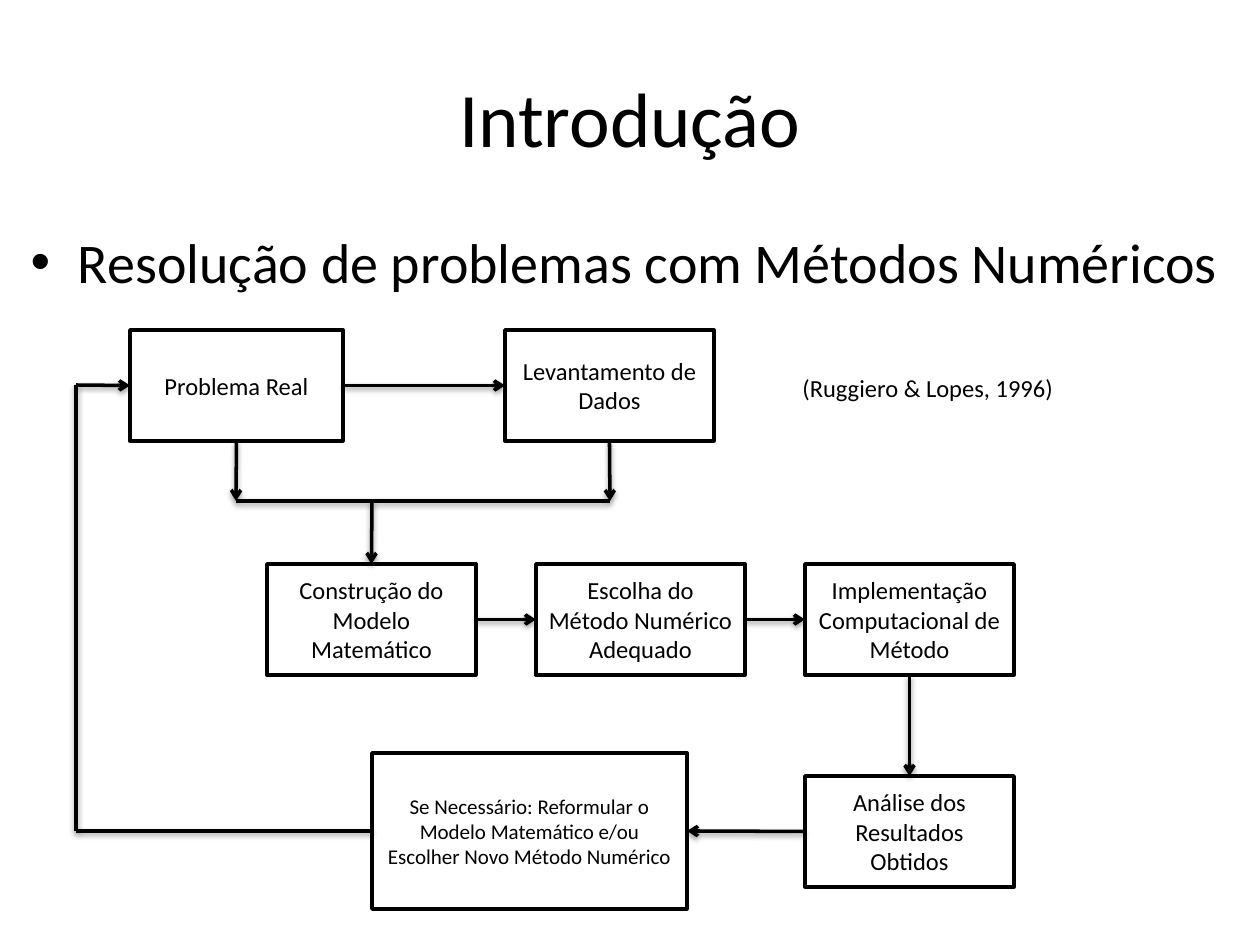
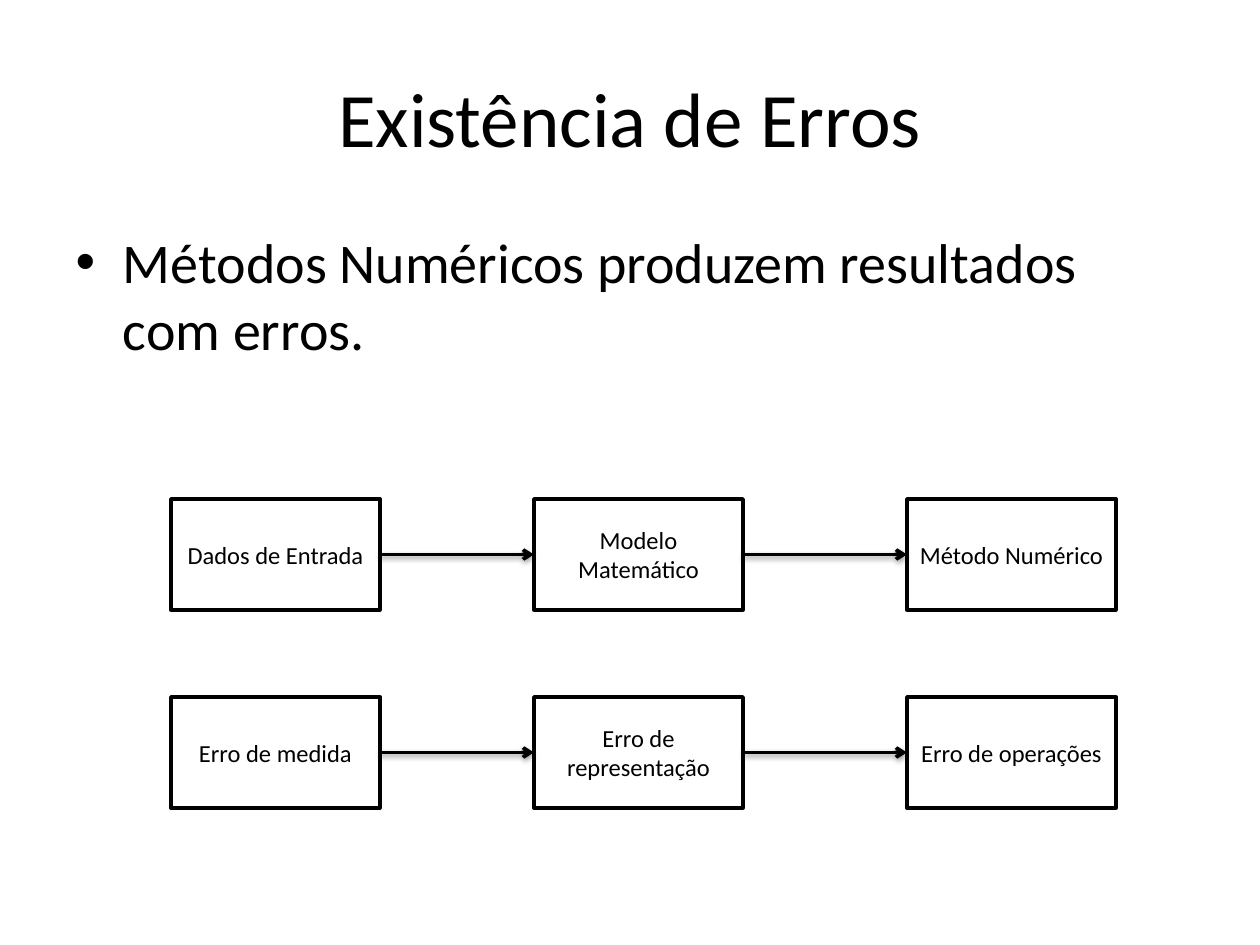
"""Builds two slides on numerical methods: the solving process and where errors arise."""
from lxml import etree
from pptx import Presentation
from pptx import util as u
from pptx.dml.color import RGBColor
from pptx.enum import shapes, text
from pptx.oxml import parse_xml
from pptx.oxml.ns import nsdecls, qn

FONT, INK, PAPER = "Calibri", "000000", "FFFFFF"
TITLE_SIZE, BODY_SIZE, BOX_SIZE, SMALL_SIZE = 44, 32, 14, 12
PX_PER_INCH = 126
BOX_WIDTH, BOX_HEIGHT = 209, 111
TITLE_AREA = (63, 38, 1134, 157)
SITES = {"top": 0, "left": 1, "bottom": 2, "right": 3}
SHADOW = (
    f'<a:effectLst {nsdecls("a")}>'
    '<a:outerShdw blurRad="40000" dist="20000" dir="5400000" rotWithShape="0">'
    f'<a:srgbClr val="{INK}"><a:alpha val="38000"/></a:srgbClr>'
    '</a:outerShdw></a:effectLst>'
)

STEP_X = [267, 536, 805]
TOP_Y, STEP_Y, RESULT_Y = 330, 564, 776
JOIN_Y, MIDDLE_X = 501, 372
RETURN_X, RETURN_TOP, RETURN_BOTTOM = 76, 385, 831

PROCESS_BOXES = {
    "problem": ("Problema Real", (130, TOP_Y, 213, BOX_HEIGHT), BOX_SIZE),
    "data": ("Levantamento de Dados", (505, TOP_Y, BOX_WIDTH, BOX_HEIGHT), BOX_SIZE),
    "model": ("Construção do Modelo Matemático", (STEP_X[0], STEP_Y, BOX_WIDTH, BOX_HEIGHT), BOX_SIZE),
    "method": ("Escolha do Método Numérico Adequado", (STEP_X[1], STEP_Y, BOX_WIDTH, BOX_HEIGHT), BOX_SIZE),
    "program": ("Implementação Computacional de Método", (STEP_X[2], STEP_Y, BOX_WIDTH, BOX_HEIGHT), BOX_SIZE),
    "analysis": ("Análise dos Resultados Obtidos", (STEP_X[2], RESULT_Y, BOX_WIDTH, BOX_HEIGHT), BOX_SIZE),
    "revision": ("Se Necessário: Reformular o Modelo Matemático e/ou Escolher Novo Método Numérico",
                 (MIDDLE_X, 753, 315, 156), SMALL_SIZE),
}
PROCESS_LINKS = [
    (("problem", "right"), ("data", "left"), True),
    (("problem", "bottom"), (236, JOIN_Y), True),
    (("data", "bottom"), (610, JOIN_Y), True),
    ((236, JOIN_Y), (610, JOIN_Y), False),
    ((MIDDLE_X, JOIN_Y), ("model", "top"), True),
    (("model", "right"), ("method", "left"), True),
    (("method", "right"), ("program", "left"), True),
    (("program", "bottom"), ("analysis", "top"), True),
    (("analysis", "left"), ("revision", "right"), True),
    (("revision", "left"), (RETURN_X, RETURN_BOTTOM), False),
    ((RETURN_X, RETURN_BOTTOM), (RETURN_X, RETURN_TOP), False),
    ((RETURN_X, RETURN_TOP), ("problem", "left"), True),
]
CITATION = ("(Ruggiero & Lopes, 1996)", (790, 367, 278, 43))

ERROR_X = [171, 534, 907]
ERROR_ROWS = [
    (499, ["Dados de Entrada", "Modelo Matemático", "Método Numérico"]),
    (697, ["Erro de medida", "Erro de representação", "Erro de operações"]),
]


def px(length):
    return u.Emu(round(length * u.Inches(1) / PX_PER_INCH))


def color(value):
    return RGBColor.from_string(value)


def place(shape, area):
    shape.left, shape.top, shape.width, shape.height = map(px, area)


def write(shape, words, size, align=None):
    shape.text_frame.text = words
    for paragraph in shape.text_frame.paragraphs:
        paragraph.alignment = align
        for run in paragraph.runs:
            run.font.name, run.font.size = FONT, u.Pt(size)
            run.font.color.rgb = color(INK)


def add_slide(presentation, title, body, body_area):
    slide = presentation.slides.add_slide(presentation.slide_layouts[1])
    heading, content = slide.placeholders[0], slide.placeholders[1]
    place(heading, TITLE_AREA)
    write(heading, title, TITLE_SIZE, text.PP_ALIGN.CENTER)
    place(content, body_area)
    write(content, body, BODY_SIZE)
    for placeholder in (heading, content):
        placeholder.text_frame.auto_size = text.MSO_AUTO_SIZE.NONE
    return slide


def add_box(slide, words, area, size):
    box = slide.shapes.add_shape(shapes.MSO_SHAPE.RECTANGLE, *map(px, area))
    box.shadow.inherit = False
    box.fill.solid()
    box.fill.fore_color.rgb = color(PAPER)
    box.line.color.rgb = color(INK)
    box.line.width = u.Pt(2)
    box.text_frame.word_wrap = True
    box.text_frame.vertical_anchor = text.MSO_ANCHOR.MIDDLE
    write(box, words, size, text.PP_ALIGN.CENTER)
    return box


def add_link(slide, boxes, start, end, arrow):
    points = [(0, 0) if point[0] in boxes else point for point in (start, end)]
    link = slide.shapes.add_connector(
        shapes.MSO_CONNECTOR.STRAIGHT, *(px(value) for point in points for value in point))
    for point, connect in ((start, link.begin_connect), (end, link.end_connect)):
        if point[0] in boxes:
            connect(boxes[point[0]], SITES[point[1]])
    link.line.color.rgb = color(INK)
    link.line.width = u.Pt(2)
    properties = link.element.spPr
    if arrow:
        etree.SubElement(properties.find(qn("a:ln")), qn("a:tailEnd"), type="arrow")
    properties.append(parse_xml(SHADOW))


def add_diagram(slide, boxes, links):
    drawn = {name: add_box(slide, *box) for name, box in boxes.items()}
    for link in links:
        add_link(slide, drawn, *link)


def add_citation(slide, words, area):
    box = slide.shapes.add_textbox(*map(px, area))
    box.text_frame.word_wrap = False
    write(box, words, BOX_SIZE)


def error_diagram():
    boxes, links = {}, []
    for top, labels in ERROR_ROWS:
        for left, label in zip(ERROR_X, labels):
            boxes[label] = (label, (left, top, BOX_WIDTH, BOX_HEIGHT), BOX_SIZE)
        for first, second in zip(labels, labels[1:]):
            links.append(((first, "right"), (second, "left"), True))
    return boxes, links


def main():
    presentation = Presentation()
    presentation.slide_width, presentation.slide_height = px(1260), px(945)
    process = add_slide(presentation, "Introdução",
                        "Resolução de problemas com Métodos Numéricos", (18, 221, 1242, 168))
    add_diagram(process, PROCESS_BOXES, PROCESS_LINKS)
    add_citation(process, *CITATION)
    errors = add_slide(presentation, "Existência de Erros",
                       "Métodos Numéricos produzem resultados com erros.", (63, 221, 1134, 189))
    add_diagram(errors, *error_diagram())
    presentation.save("out.pptx")


if __name__ == "__main__":
    main()
